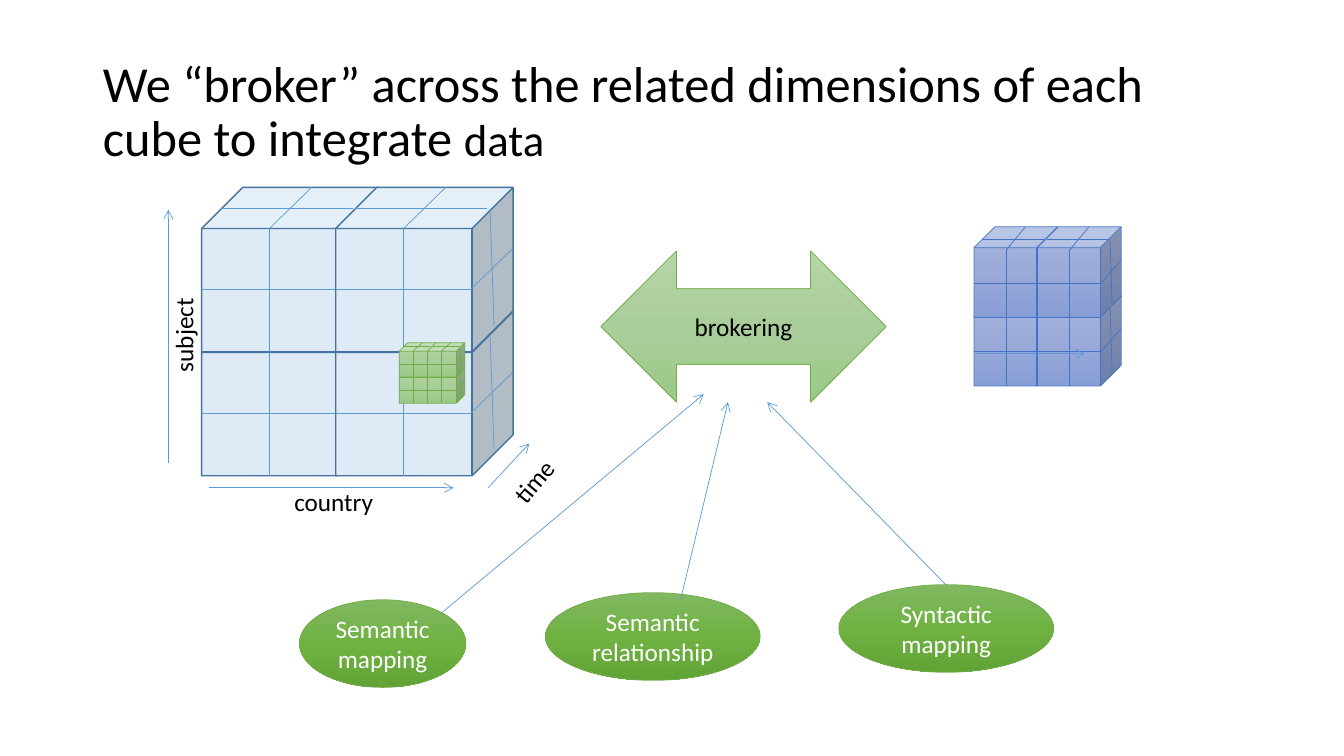
from copy import deepcopy

from lxml.etree import SubElement
from pptx import Presentation
from pptx.dml.color import RGBColor
from pptx.enum.shapes import MSO_CONNECTOR, MSO_SHAPE
from pptx.enum.text import MSO_ANCHOR, MSO_AUTO_SIZE, PP_ALIGN
from pptx.oxml.ns import qn
from pptx.util import Pt

PX = 9144
FONT = "Calibri"
COLORS = {
    "black": "000000",
    "white": "FFFFFF",
    "arrow": "5B9BD5",
    "large_face": "DEEBF7",
    "large_edge": "43739E",
    "blue_edge": "4472C4",
    "green_edge": "70AD47",
}
BLUE_FADE = ["A8B7DF", "9AABD9", "889ED7"]
PALE_GREEN_FADE = ["B5D5A7", "AACE9A", "9CC987"]
GREEN_FADE = ["81B861", "6FB242", "62A336"]
CUBE_GRID = [
    (0.38, 0.25, 0.38, 1),
    (0, 0.62, 0.76, 0.62),
    (0.76, 0.62, 1, 0.37),
    (0.89, 0.84, 0.87, 0.13),
    (0.38, 0.25, 0.62, 0),
    (0.11, 0.13, 0.85, 0.13),
]


def color(name):
    return RGBColor.from_string(COLORS[name])


def px(*lengths):
    return [round(length) * PX for length in lengths]


def add_run(paragraph, text, size=18, ink="black"):
    run = paragraph.add_run()
    run.text = text
    run.font.name = FONT
    run.font.size = Pt(size)
    run.font.color.rgb = color(ink)


def paint(shape, fade):
    shape.fill.gradient()
    stop_list = shape.fill._xPr.find(".//" + qn("a:gsLst"))
    stop_list.append(deepcopy(stop_list[0]))
    shape.fill.gradient_angle = 270
    for index, (stop, shade) in enumerate(zip(shape.fill.gradient_stops, fade)):
        stop.color.rgb = RGBColor.from_string(shade)
        stop.position = index / 2


def add_figure(shapes, kind, box, fade, edge, weight=0.5):
    shape = shapes.add_shape(kind, *px(*box))
    shape.shadow.inherit = False
    if fade:
        paint(shape, fade)
    else:
        shape.fill.solid()
        shape.fill.fore_color.rgb = color("large_face")
    shape.line.color.rgb = color(edge)
    shape.line.width = Pt(weight)
    return shape


def add_line(shapes, ends, ink="arrow", arrow=False):
    connector = shapes.add_connector(MSO_CONNECTOR.STRAIGHT, *px(*ends))
    connector.line.color.rgb = color(ink)
    connector.line.width = Pt(0.5)
    if arrow:
        SubElement(connector.line._get_or_add_ln(), qn("a:tailEnd"), type="arrow")
    SubElement(connector._element.spPr, qn("a:effectLst"))


def add_cube_stack(slide, corner, size, step, fade, edge, grid_ink, weight=0.5):
    group = slide.shapes.add_group_shape()
    width, height = size
    for column in range(2):
        for row in (1, 0):
            left = corner[0] + column * step[0]
            top = corner[1] + row * step[1]
            add_figure(group.shapes, MSO_SHAPE.CUBE, (left, top, width, height), fade, edge, weight)
            for x1, y1, x2, y2 in CUBE_GRID:
                ends = (left + x1 * width, top + y1 * height, left + x2 * width, top + y2 * height)
                add_line(group.shapes, ends, grid_ink)


def add_axis_label(slide, text, box, rotation=0):
    label = slide.shapes.add_textbox(*px(*box))
    label.rotation = rotation
    label.text_frame.word_wrap = False
    label.text_frame.auto_size = MSO_AUTO_SIZE.SHAPE_TO_FIT_TEXT
    add_run(label.text_frame.paragraphs[0], text)


def add_labelled_figure(slide, kind, box, lines, fade, ink):
    shape = add_figure(slide.shapes, kind, box, fade, "green_edge")
    frame = shape.text_frame
    frame.word_wrap = True
    frame.vertical_anchor = MSO_ANCHOR.MIDDLE
    for index, line in enumerate(lines):
        paragraph = frame.add_paragraph() if index else frame.paragraphs[0]
        paragraph.alignment = PP_ALIGN.CENTER
        add_run(paragraph, line, ink=ink)


def add_title(slide):
    title = slide.shapes.title
    title.left, title.top, title.width, title.height = px(92, 40, 1150, 145)
    title.text_frame.vertical_anchor = MSO_ANCHOR.MIDDLE
    title.text_frame.word_wrap = True
    paragraph = title.text_frame.paragraphs[0]
    paragraph.alignment = PP_ALIGN.LEFT
    paragraph.line_spacing = 0.9
    add_run(paragraph, "We “broker” across the related dimensions of each cube to integrate ", 36)
    add_run(paragraph, "data", 32)


def main():
    presentation = Presentation()
    presentation.slide_width, presentation.slide_height = px(1333, 750)
    slide = presentation.slides.add_slide(presentation.slide_layouts[5])
    add_title(slide)

    add_cube_stack(slide, (966, 225), (83, 90), (63, 68), BLUE_FADE, "blue_edge", "blue_edge")
    add_cube_stack(slide, (200, 186), (176, 163), (133, 123), None, "large_edge", "arrow", 1)
    add_cube_stack(slide, (396, 340), (37, 34), (28, 26), PALE_GREEN_FADE, "green_edge", "green_edge")

    add_axis_label(slide, "country", (282, 478, 99, 40))
    add_axis_label(slide, "time", (496, 457, 67, 40), 310)
    add_axis_label(slide, "subject", (135, 312, 94, 40), 270)

    for box, lines in [
        ((297, 595, 165, 87), ["Semantic mapping"]),
        ((541, 588, 213, 87), ["Semantic", "relationship"]),
        ((832, 580, 213, 87), ["Syntactic", "mapping"]),
    ]:
        add_labelled_figure(slide, MSO_SHAPE.OVAL, box, lines, GREEN_FADE, "white")
    add_labelled_figure(slide, MSO_SHAPE.LEFT_RIGHT_ARROW, (596, 249, 283, 150),
                        ["brokering"], PALE_GREEN_FADE, "black")

    axis_arrows = [(207, 484, 450, 484), (167, 459, 167, 208), (484, 484, 525, 440), (966, 351, 1076, 351)]
    broker_arrows = [(438, 608, 698, 391), (675, 595, 722, 399), (938, 580, 761, 399)]
    for ends in axis_arrows + broker_arrows:
        add_line(slide.shapes, ends, arrow=True)

    presentation.save("out.pptx")


if __name__ == "__main__":
    main()
